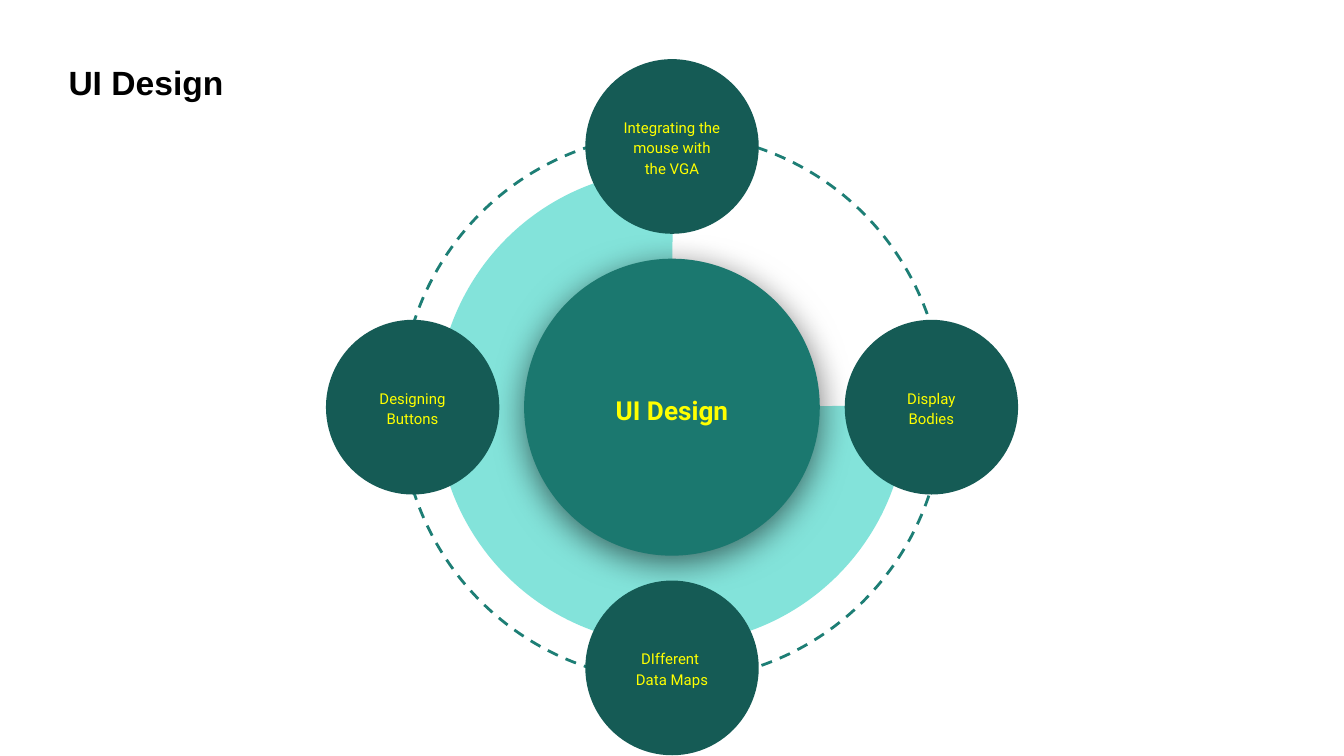
from dataclasses import dataclass

from lxml.etree import SubElement
from pptx import Presentation
from pptx.dml.color import RGBColor
from pptx.enum.dml import MSO_LINE
from pptx.enum.shapes import MSO_SHAPE as Kind
from pptx.enum.text import MSO_ANCHOR as Anchor, MSO_AUTO_SIZE as Fit, PP_ALIGN as Align
from pptx.oxml.ns import qn
from pptx.util import Inches, Pt


@dataclass(frozen=True)
class Theme:
    ring: str = "1D7E75"
    pie: str = "83E3DA"
    hub: str = "1B786F"
    node: str = "155B55"
    label: str = "FFFF00"
    ink: str = "000000"
    font: str = "Roboto"
    head: str = "Arial"
    title: int = 18
    center: int = 14
    small: int = 8


THEME = Theme()
WIDTH = 10
MID = (5, 3.03)
REACH = (1.93, 1.94)
# Direction from the hub (x, y) and the lines of each label
NODES = [
    ((0, -1), ["Integrating the mouse with the VGA"]),
    ((0, 1), ["DIfferent ", "Data Maps"]),
    ((-1, 0), ["Designing", "Buttons"]),
    ((1, 0), ["Display", "Bodies"]),
]


def box(mid, size):
    """Left, top, width and height of a box centred on a point."""
    return [Inches(c - s / 2) for c, s in zip(mid, size)] + [Inches(s) for s in size]


def add_disc(slide, mid, size, fill=None, kind=Kind.OVAL):
    disc = slide.shapes.add_shape(kind, *box(mid, size))
    disc.shadow.inherit = False
    disc.line.fill.background()
    if fill:
        disc.fill.solid()
        disc.fill.fore_color.rgb = RGBColor.from_string(fill)
    else:
        disc.fill.background()
    return disc


def add_glow(shape, blur, dist, angle, alpha):
    """Give a shape a soft black outer shadow."""
    effects = shape.element.spPr.find(qn("a:effectLst"))
    shade = SubElement(effects, qn("a:outerShdw"), blurRad=str(Pt(blur)),
                       dist=str(Pt(dist)), dir=str(angle * 60000),
                       algn="bl", rotWithShape="0")
    color = SubElement(shade, qn("a:srgbClr"), val=THEME.ink)
    SubElement(color, qn("a:alpha"), val=str(alpha * 1000))


def write(shape, lines, size, font=THEME.font, color=THEME.label, bold=False,
          align=Align.CENTER, anchor=Anchor.MIDDLE, space=1.15):
    frame = shape.text_frame
    frame.word_wrap = True
    frame.auto_size = Fit.NONE
    frame.vertical_anchor = anchor
    frame.margin_left = frame.margin_right = Inches(0.1)
    frame.margin_top = frame.margin_bottom = Inches(0.1)
    frame.text = "\n".join(lines)
    for para in frame.paragraphs:
        para.alignment = align
        para.line_spacing = space
        para.space_before = Pt(0)
        for run in para.runs:
            run.font.name = font
            run.font.size = Pt(size)
            run.font.bold = bold
            run.font.color.rgb = RGBColor.from_string(color)


def add_label(slide, mid, size, lines, points, **style):
    write(slide.shapes.add_textbox(*box(mid, size)), lines, points, **style)


def add_ring(slide):
    ring = add_disc(slide, MID, (4.07, 4.04))
    ring.rotation = 270
    ring.line.color.rgb = RGBColor.from_string(THEME.ring)
    ring.line.width = Pt(1.5)
    ring.line.dash_style = MSO_LINE.DASH


def add_pie(slide):
    pie = add_disc(slide, MID, (3.5, 3.53), THEME.pie, Kind.PIE)
    for i, angle in enumerate((359.6, 270.2)):
        pie.adjustments[i] = angle * 0.6


def add_hub(slide):
    hub = add_disc(slide, MID, (2.2, 2.21), THEME.hub)
    add_glow(hub, blur=18, dist=4, angle=90, alpha=55)
    add_label(slide, MID, (1.63, 1.01), ["UI Design"], THEME.center, bold=True)


def add_node(slide, way, lines):
    mid = [c + w * r for c, w, r in zip(MID, way, REACH)]
    add_disc(slide, mid, (1.29, 1.3), THEME.node)
    add_label(slide, mid, (0.92, 0.89), lines, THEME.small)


def add_title(slide):
    title = slide.shapes.title
    title.left, title.top = Inches(0.41), Inches(0.36)
    title.width, title.height = Inches(9.02), Inches(0.5)
    write(title, ["UI Design"], THEME.title, font=THEME.head, color=THEME.ink,
          bold=True, align=Align.LEFT, anchor=Anchor.TOP, space=1.0)


def main():
    deck = Presentation()
    deck.slide_width, deck.slide_height = Inches(WIDTH), Inches(WIDTH * 9 / 16)
    slide = deck.slides.add_slide(deck.slide_layouts[5])
    add_title(slide)
    add_ring(slide)
    add_pie(slide)
    add_hub(slide)
    for way, lines in NODES:
        add_node(slide, way, lines)
    deck.save("out.pptx")


if __name__ == "__main__":
    main()
